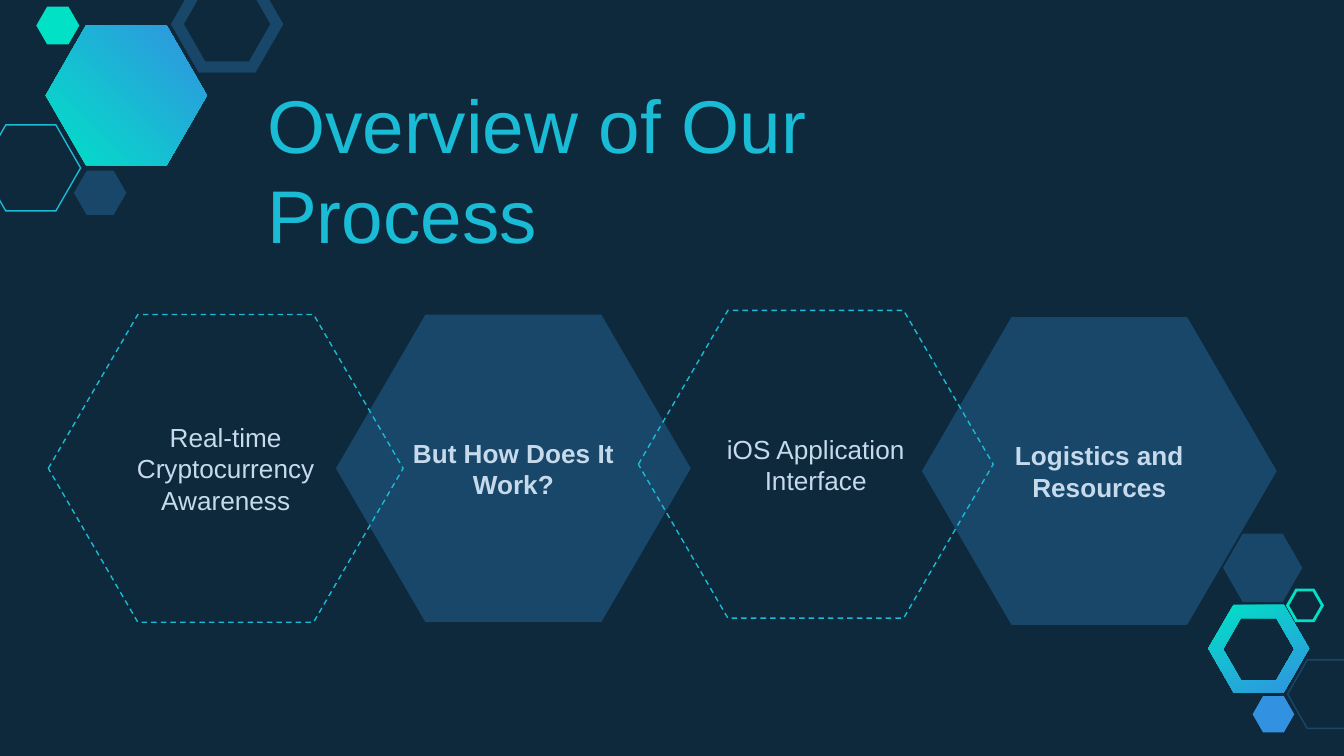
from lxml import etree
from pptx import Presentation
from pptx import util as u
from pptx.dml.color import RGBColor
from pptx.enum import dml, shapes, text
from pptx.oxml.ns import qn

# Content: label, top of the hexagon, filled or dashed
STEPS = [
    ("Real-time Cryptocurrency Awareness", 2.34, False),
    ("But How Does It Work?", 2.34, True),
    ("iOS Application Interface", 2.31, False),
    ("Logistics and Resources", 2.36, True),
]
LEFTS = [0.36, 2.5, 4.75, 6.86]
ORDER = [1, 0, 3, 2]  # back to front
TITLE = "Overview of Our Process"

THEME = {
    "back": "0E293C", "navy": "184769", "cyan": "19BBD5", "mint": "00E1C6",
    "blue": "3292E1", "pale": "C6DAEC",
    "font": "Arial", "head": 40, "body": 14,
}

# Decor: left, top, width, height, colour, line width (0 means filled)
DECOR = [
    (-0.14, 0.93, 0.74, 0.64, "cyan", 0.75),
    (0.55, 1.27, 0.39, 0.33, "navy", 0),
    (1.32, -0.14, 0.74, 0.64, "navy", 6),
    (0.27, 0.05, 0.32, 0.28, "mint", 0),
    (9.58, 4.91, 0.59, 0.51, "navy", 0.75),
    (9.32, 5.18, 0.31, 0.27, "blue", 0),
    (9.1, 3.97, 0.59, 0.51, "navy", 0),
    (9.58, 4.39, 0.26, 0.23, "mint", 1.5),
]
# Gradient hexagons: nested boxes (the second is a hole), angle
GRADS = [
    ([(8.99, 4.5, 0.75, 0.65), (9.1, 4.6, 0.53, 0.46)], 296),
    ([(0.34, 0.19, 1.2, 1.04)], 45),
]


def tint(name):
    return RGBColor.from_string(THEME[name])


def corners(x, y, w, h):
    spots = [(0, 0.5), (0.25, 0), (0.75, 0), (1, 0.5), (0.75, 1), (0.25, 1)]
    return [(u.Inches(x + a * w), u.Inches(y + b * h)) for a, b in spots]


def blend(slide, boxes, angle):
    first, *holes = [corners(*box) for box in boxes]
    form = slide.shapes.build_freeform(*first[0])
    form.add_line_segments(first[1:])
    for hole in holes:
        form.move_to(*hole[0])
        form.add_line_segments(hole[1:])
    shape = form.convert_to_shape()
    shape.shadow.inherit = False
    shape.line.fill.background()
    shape.fill.gradient()
    shape.fill.gradient_angle = angle
    for stop, name in zip(shape.fill.gradient_stops, ("mint", "blue")):
        stop.color.rgb = tint(name)


def hexa(slide, box, name, width=0, adj=0.287, dash=False):
    shape = slide.shapes.add_shape(
        shapes.MSO_SHAPE.HEXAGON, *map(u.Inches, box))
    shape.adjustments[0] = adj
    shape.shadow.inherit = False
    if not width:
        shape.fill.solid()
        shape.fill.fore_color.rgb = tint(name)
        shape.line.fill.background()
        return shape
    shape.fill.background()
    shape.line.color.rgb = tint(name)
    shape.line.width = u.Pt(width)
    if dash:
        shape.line.dash_style = dml.MSO_LINE.DASH
    # Sharp corners
    edge = shape.line.fill._xPr
    etree.SubElement(edge, qn("a:miter"), lim="800000")
    return shape


def write(shape, words, size, name, align, anchor, bold=False):
    frame = shape.text_frame
    frame.word_wrap = True
    frame.vertical_anchor = anchor
    frame.margin_left = frame.margin_right = u.Inches(0.1)
    frame.margin_top = frame.margin_bottom = u.Inches(0.1)
    para = frame.paragraphs[0]
    para.alignment = align
    run = para.add_run()
    run.text = words
    run.font.name = THEME["font"]
    run.font.size = u.Pt(THEME[size])
    run.font.bold = bold
    run.font.color.rgb = tint(name)


deck = Presentation()
deck.slide_width, deck.slide_height = u.Inches(10), u.Inches(10 * 9 / 16)
slide = deck.slides.add_slide(deck.slide_layouts[6])
slide.background.fill.solid()
slide.background.fill.fore_color.rgb = tint("back")

# Corner clusters
for boxes, angle in GRADS:
    blend(slide, boxes, angle)
for *box, name, width in DECOR:
    hexa(slide, box, name, width)

# Title
head = slide.shapes.add_textbox(*map(u.Inches, (1.89, 1.31, 5.41, 0.71)))
write(head, TITLE, "head", "cyan", text.PP_ALIGN.LEFT, text.MSO_ANCHOR.BOTTOM)

# Process steps
for i in ORDER:
    words, top, full = STEPS[i]
    box = (LEFTS[i], top, 2.64, 2.29)
    name, width = ("navy", 0) if full else ("cyan", 0.75)
    step = hexa(slide, box, name, width, 0.291, not full)
    write(step, words, "body", "pale", text.PP_ALIGN.CENTER,
          text.MSO_ANCHOR.MIDDLE, full)

deck.save("out.pptx")
